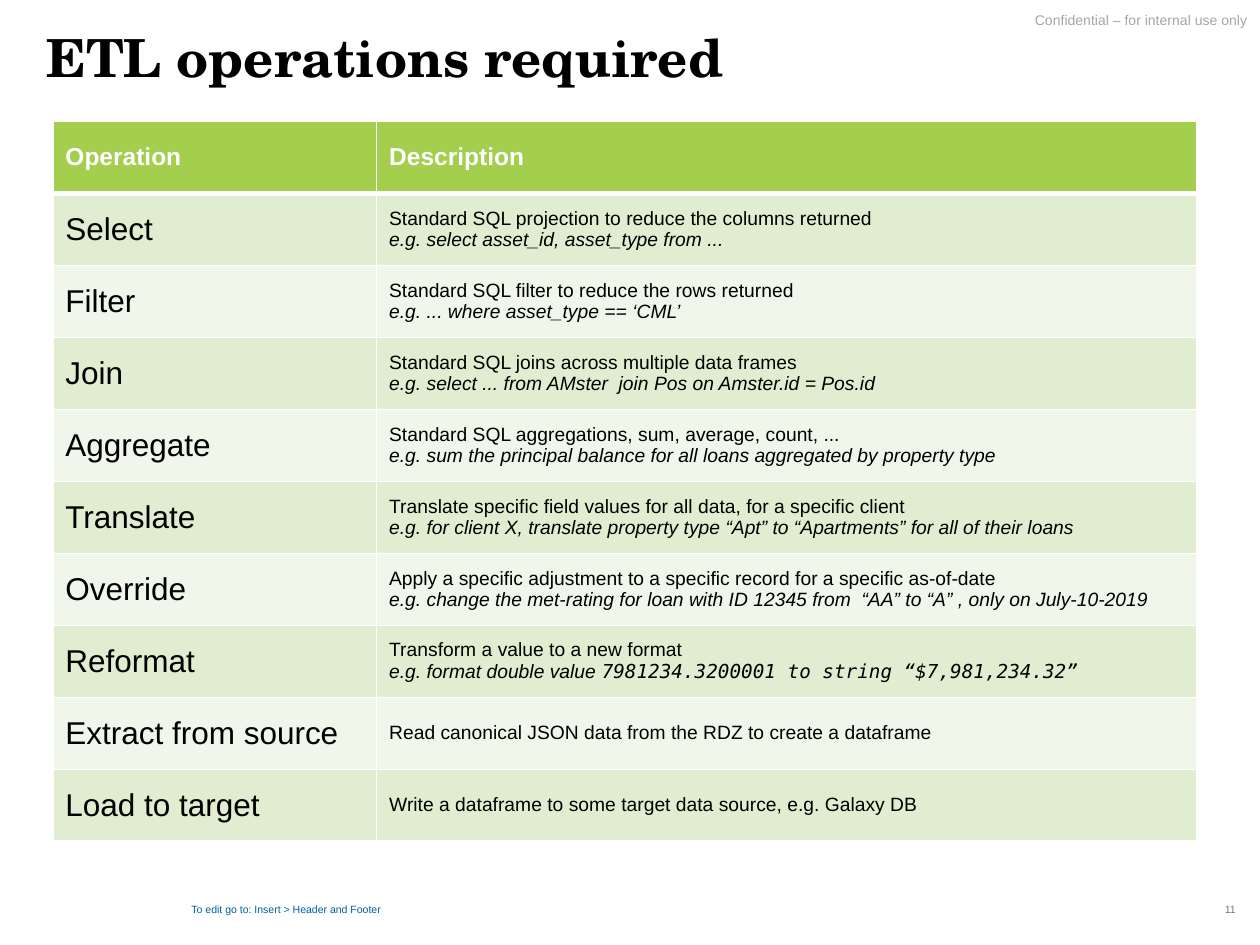
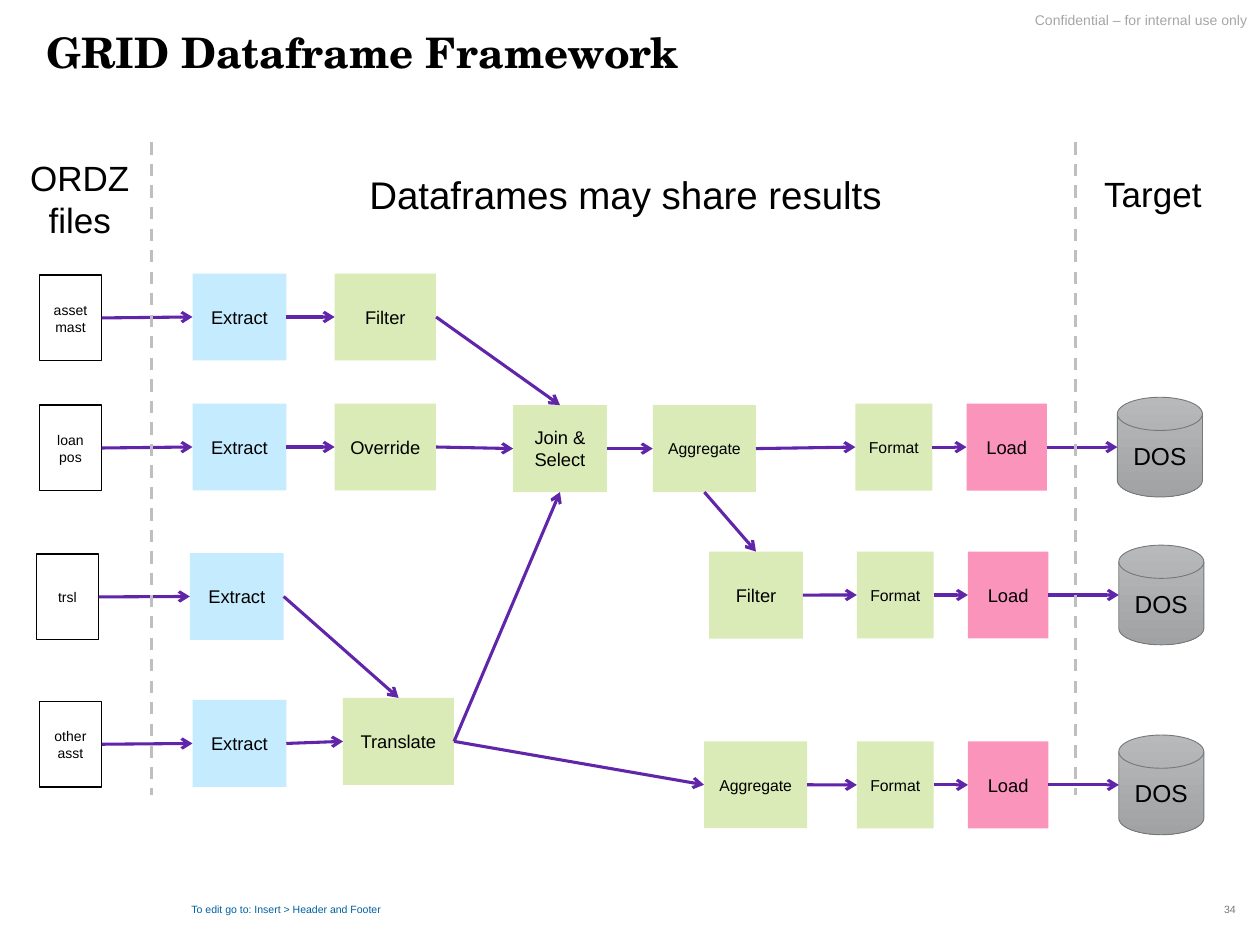
"""Build two slides: the table of ETL operations and the dataframe flow diagram."""
import lxml.etree
import pptx
import pptx.dml.color
import pptx.enum.dml
import pptx.enum.shapes
import pptx.enum.text
import pptx.oxml.ns
import pptx.util

Pt = pptx.util.Pt
RGB = pptx.dml.color.RGBColor.from_string
qn = pptx.oxml.ns.qn
ALIGN = pptx.enum.text.PP_ALIGN
ANCHOR = pptx.enum.text.MSO_ANCHOR
SHAPE = pptx.enum.shapes.MSO_SHAPE
STRAIGHT = pptx.enum.shapes.MSO_CONNECTOR.STRAIGHT
TOP, LEFT, BOTTOM, RIGHT = range(4)

SANS, SERIF, MONO = "Arial", "TeX Gyre Schola", "DejaVu Sans Mono"
COLORS = {
    "text": "000000", "white": "FFFFFF", "notice": "A6A6A6", "number": "75787B",
    "footer": "0061A0", "header": "A3CE4E", "odd row": "E0EDD0", "even row": "F0F6E9",
    "extract": "C5EBFF", "transform": "DAEBB8", "load": "FA94BB", "arrow": "6025A9",
    "divider": "BFBFBF", "disk top": "B8B9BA", "disk bottom": "A0A2A4",
}


def style(paragraph, size, color="text", align=ALIGN.LEFT, face=SANS, bold=False, italic=False):
    """Set the font and alignment of a whole paragraph."""
    paragraph.alignment = align
    font = paragraph.font
    font.name, font.size, font.bold, font.italic = face, Pt(size), bold, italic
    font.color.rgb = RGB(COLORS[color])


def add_label(slide, box, text, size, insets=(7.2, 0), anchor=ANCHOR.TOP, spacing=None, **look):
    """Add a text box with one paragraph for each line of text."""
    frame = slide.shapes.add_textbox(*map(Pt, box)).text_frame
    frame.word_wrap = True
    frame.vertical_anchor = anchor
    frame.margin_left = frame.margin_right = Pt(insets[0])
    frame.margin_top = frame.margin_bottom = Pt(insets[1])
    frame.text = text
    for paragraph in frame.paragraphs:
        style(paragraph, size, **look)
        if spacing:
            paragraph.line_spacing = spacing


deck = pptx.Presentation()
deck.slide_width, deck.slide_height = Pt(720), Pt(540)

slides = []
for title, title_size, number in (
    ("ETL operations required", 30, "11"),
    ("GRID Dataframe Framework", 24, "34"),
):
    slide = deck.slides.add_slide(deck.slide_layouts[6])
    slides.append(slide)
    add_label(slide, (500, 7.7, 220, 16.6), "Confidential – for internal use only", 8,
              spacing=0.9, color="notice", align=ALIGN.RIGHT)
    add_label(slide, (658, 505.5, 53.5, 28.8), number, 6, (5.4, 2.7), ANCHOR.MIDDLE,
              color="number", align=ALIGN.RIGHT)
    add_label(slide, (21, 16, 672, 52), title, title_size, (5.4, 2.7),
              spacing=0.9, face=SERIF, bold=True)
    add_label(slide, (104, 514, 243, 11.5), "To edit go to: Insert > Header and Footer", 6,
              (5.4, 2.7), ANCHOR.MIDDLE, color="footer")
operations_slide, flow_slide = slides

operations = (
    ("Operation", "Description"),
    ("Select", "Standard SQL projection to reduce the columns returned",
     "e.g. select asset_id, asset_type from ..."),
    ("Filter", "Standard SQL filter to reduce the rows returned",
     "e.g. ... where asset_type == ‘CML’"),
    ("Join", "Standard SQL joins across multiple data frames",
     "e.g. select ... from AMster  join Pos on Amster.id = Pos.id"),
    ("Aggregate", "Standard SQL aggregations, sum, average, count, ...",
     "e.g. sum the principal balance for all loans aggregated by property type"),
    ("Translate", "Translate specific field values for all data, for a specific client",
     "e.g. for client X, translate property type “Apt” to “Apartments” for all of their loans"),
    ("Override", "Apply a specific adjustment to a specific record for a specific as-of-date",
     "e.g. change the met-rating for loan with ID 12345 from  “AA” to “A” , only on July-10-2019"),
    ("Reformat", "Transform a value to a new format",
     "e.g. format double value ", "7981234.3200001 to string “$7,981,234.32”"),
    ("Extract from source", "Read canonical JSON data from the RDZ to create a dataframe"),
    ("Load to target", "Write a dataframe to some target data source, e.g. Galaxy DB"),
)
table = operations_slide.shapes.add_table(
    len(operations), 2, Pt(30.2), Pt(69.4), Pt(653.8), Pt(411.4)).table
table.columns[0].width, table.columns[1].width = Pt(185), Pt(468.8)

for row, (operation, description, *example) in enumerate(operations):
    table.rows[row].height = Pt(41.14)
    fill = "header" if row == 0 else "odd row" if row % 2 else "even row"
    for column, text in enumerate((operation, description)):
        cell = table.cell(row, column)
        cell.vertical_anchor = ANCHOR.MIDDLE
        cell.text = text
        if row == 0:
            style(cell.text_frame.paragraphs[0], 14, "white", bold=True)
        else:
            style(cell.text_frame.paragraphs[0], 11 if column else 18)
        properties = cell._tc.get_or_add_tcPr()
        for edge in ("lnL", "lnR", "lnT", "lnB"):
            thick = (row, edge) in ((0, "lnB"), (1, "lnT"))
            border = lxml.etree.SubElement(properties, qn("a:" + edge), w=str(Pt(3 if thick else 1)))
            paint = lxml.etree.SubElement(border, qn("a:solidFill"))
            lxml.etree.SubElement(paint, qn("a:srgbClr"), val=COLORS["white"])
        cell.fill.solid()
        cell.fill.fore_color.rgb = RGB(COLORS[fill])
    if example:
        paragraph = table.cell(row, 1).text_frame.add_paragraph()
        style(paragraph, 11, italic=True)
        for text, face in zip(example, (SANS, MONO)):
            run = paragraph.add_run()
            run.text = text
            if face != SANS:
                run.font.name = face

for box, heading, size in (
    ((2, 89.3, 87.1, 51), "ORDZ\nfiles", 20),
    ((137, 98, 441, 32.4), "Dataframes may share results", 22),
    ((617.8, 98.6, 82, 60), "Target", 20),
):
    add_label(flow_slide, box, heading, size, align=ALIGN.CENTER)

kinds = {
    "file": (SHAPE.RECTANGLE, 49, 8),
    "extract": (SHAPE.RECTANGLE, 49.7, 10.5),
    "transform": (SHAPE.RECTANGLE, 49.7, 10.5),
    "load": (SHAPE.RECTANGLE, 49.7, 10.5),
    "disk": (SHAPE.FLOWCHART_MAGNETIC_DISK, 57, 14),
}
steps = {
    "asset file": ("asset mast", "file", 22.5, 157.2, 35.6),
    "loan file": ("loan pos", "file", 22.5, 231.5, 35.6),
    "trsl file": ("trsl", "file", 20.8, 316.6, 35.6),
    "other file": ("other asst", "file", 22.5, 400.8, 35.6),
    "asset extract": ("Extract", "extract", 110, 156.3, 53.6),
    "loan extract": ("Extract", "extract", 110, 230.6, 53.6),
    "trsl extract": ("Extract", "extract", 108.5, 316, 53.6),
    "other extract": ("Extract", "extract", 110, 400, 53.6),
    "asset filter": ("Filter", "transform", 191.2, 156.3, 58),
    "override": ("Override", "transform", 191.2, 230.6, 58),
    "translate": ("Translate", "transform", 196, 398.8, 63.5),
    "join": ("Join & Select", "transform", 293.2, 231.5, 53.6),
    "shared aggregate": ("Aggregate", "transform", 373, 231.5, 59),
    "late filter": ("Filter", "transform", 405.2, 315.2, 53.6),
    "other aggregate": ("Aggregate", "transform", 402.3, 423.6, 59),
}
lanes = (("shared aggregate", 488.8, 255.5), ("late filter", 489.6, 340),
         ("other aggregate", 489.6, 448.5))
flows = [
    ("asset filter", RIGHT, "join", TOP),
    ("override", RIGHT, "join", LEFT),
    ("translate", RIGHT, "join", BOTTOM),
    ("translate", RIGHT, "other aggregate", LEFT),
    ("join", RIGHT, "shared aggregate", LEFT),
    ("shared aggregate", BOTTOM, "late filter", TOP),
    ("asset extract", RIGHT, "asset filter", LEFT),
    ("loan extract", RIGHT, "override", LEFT),
    ("trsl extract", RIGHT, "translate", TOP),
    ("other extract", RIGHT, "translate", LEFT),
]
for feed in ("asset", "loan", "trsl", "other"):
    flows.append((feed + " file", RIGHT, feed + " extract", LEFT))
for source, left, middle in lanes:
    for text, kind, offset, width in (
        ("Format", "transform", 0, 44), ("Load", "load", 63.5, 46), ("DOS", "disk", 149.7, 48.6),
    ):
        target = source + " " + text
        steps[target] = (text, kind, left + offset, middle - kinds[kind][1] / 2, width)
        flows.append((source, RIGHT, target, LEFT))
        source = target

nodes = {}
for name, (text, kind, left, top, width) in steps.items():
    preset, height, size = kinds[kind]
    node = flow_slide.shapes.add_shape(preset, Pt(left), Pt(top), Pt(width), Pt(height))
    nodes[name] = node
    node.shadow.inherit = False
    if kind == "disk":
        node.fill.gradient()
        node.fill.gradient_angle = 270
        for stop, shade in zip(node.fill.gradient_stops, ("disk top", "disk bottom")):
            stop.color.rgb = RGB(COLORS[shade])
        node.line.color.rgb = RGB(COLORS["number"])
        node.line.width = Pt(0.5)
    elif kind == "file":
        node.fill.background()
        node.line.color.rgb = RGB(COLORS["text"])
        node.line.width = Pt(0.75)
        node.text_frame.margin_top = node.text_frame.margin_bottom = 0
    else:
        node.fill.solid()
        node.fill.fore_color.rgb = RGB(COLORS[kind])
        node.line.fill.background()
    node.text_frame.text = text
    small = text in ("Aggregate", "Format")
    style(node.text_frame.paragraphs[0], 9 if small else size, align=ALIGN.CENTER)

lines = []
for start, start_side, end, end_side in flows:
    source, target = nodes[start], nodes[end]
    arrow = flow_slide.shapes.add_connector(
        STRAIGHT, source.left + source.width, source.top + source.height // 2,
        target.left, target.top + target.height // 2)
    arrow.begin_connect(source, start_side)
    if target.auto_shape_type == SHAPE.RECTANGLE:
        arrow.end_connect(target, end_side)
    lines.append((arrow, "arrow"))
for x in (86.8, 614.5):
    divider = flow_slide.shapes.add_connector(STRAIGHT, Pt(x), Pt(81.4), Pt(x), Pt(454.3))
    divider.line.dash_style = pptx.enum.dml.MSO_LINE.DASH
    lines.append((divider, "divider"))

for line, role in lines:
    line.line.color.rgb = RGB(COLORS[role])
    line.line.width = Pt(1.75)
    properties = line.element.spPr
    if role == "arrow":
        lxml.etree.SubElement(properties.find(qn("a:ln")), qn("a:tailEnd"), type="arrow")
    lxml.etree.SubElement(properties, qn("a:effectLst"))

deck.save("out.pptx")
